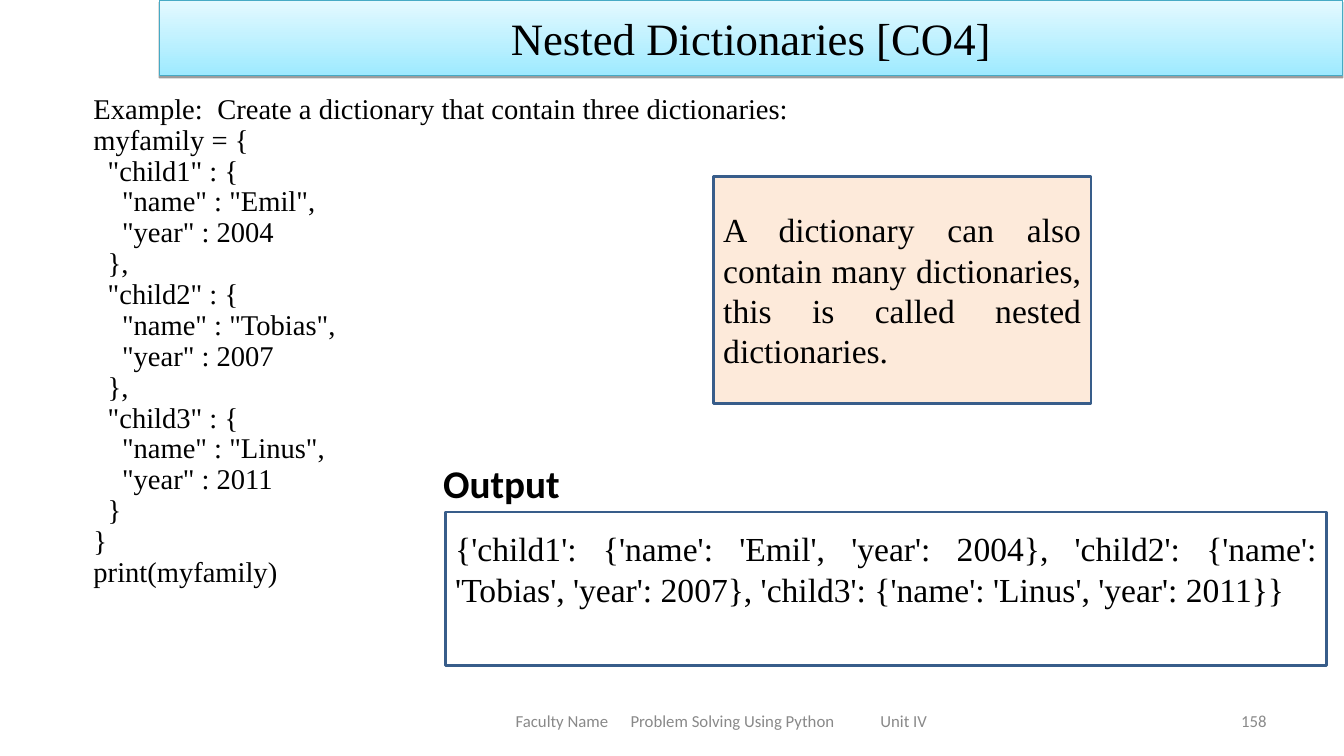
import dataclasses

import pptx
import pptx.dml.color
import pptx.enum.shapes
import pptx.enum.text
import pptx.oxml
import pptx.oxml.ns
import pptx.util

ALIGN = pptx.enum.text.PP_ALIGN
ANCHOR = pptx.enum.text.MSO_ANCHOR
PX = 9144  # 100 px to the inch


@dataclasses.dataclass(frozen=True)
class Theme:
    serif: str = "Times New Roman"
    sans: str = "Calibri"
    ink: str = "000000"
    muted: str = "898989"
    border: str = "385D8A"
    paper: str = "FFFFFF"
    note: str = "FDEADA"
    banner_low: str = "9EEAFF"
    banner_high: str = "E4F9FF"
    banner_border: str = "46AAC5"
    title: float = 32
    heading: float = 28
    body: float = 24
    code: float = 20.4
    footer: float = 12


def rgb(value):
    return pptx.dml.color.RGBColor.from_string(value)


class SlideBuilder:
    def __init__(self, deck, theme):
        self.theme = theme
        self.slide = deck.slides.add_slide(deck.slide_layouts[6])

    def set_text(self, shape, lines, size, font=None, color=None, bold=False,
                 align=ALIGN.LEFT, anchor=ANCHOR.MIDDLE, spacing=None, tabs=(), bottom=5):
        frame = shape.text_frame
        frame.word_wrap = True
        frame.vertical_anchor = anchor
        frame.margin_left = frame.margin_right = 10 * PX
        frame.margin_top, frame.margin_bottom = 5 * PX, bottom * PX
        for index, line in enumerate(lines):
            paragraph = frame.add_paragraph() if index else frame.paragraphs[0]
            paragraph.alignment = align
            if spacing:
                paragraph.line_spacing = spacing
            if tabs:
                stops = "".join(f'<a:tab pos="{tab * PX}" algn="l"/>' for tab in tabs)
                paragraph._p.get_or_add_pPr().append(pptx.oxml.parse_xml(
                    f'<a:tabLst {pptx.oxml.ns.nsdecls("a")}>{stops}</a:tabLst>'))
            run = paragraph.add_run()
            run.text = line
            run.font.size = pptx.util.Pt(size)
            run.font.name = font or self.theme.serif
            run.font.bold = bold
            run.font.color.rgb = rgb(color or self.theme.ink)

    def text(self, box, lines, size, **style):
        label = self.slide.shapes.add_textbox(*(n * PX for n in box))
        self.set_text(label, lines, size, **style)

    def panel(self, box, lines, size, fill, border, width=2, **style):
        panel = self.slide.shapes.add_shape(
            pptx.enum.shapes.MSO_SHAPE.RECTANGLE, *(n * PX for n in box))
        panel.shadow.inherit = False
        if isinstance(fill, tuple):
            panel.fill.gradient()
            panel.fill.gradient_angle = 90
            for stop, color in zip(panel.fill.gradient_stops, fill):
                stop.color.rgb = rgb(color)
        else:
            panel.fill.solid()
            panel.fill.fore_color.rgb = rgb(fill)
        panel.line.color.rgb = rgb(border)
        panel.line.width = pptx.util.Pt(width)
        self.set_text(panel, lines, size, **style)
        return panel

    def drop_shadow(self, panel):
        effects = panel._element.spPr.find(pptx.oxml.ns.qn("a:effectLst"))
        effects.append(pptx.oxml.parse_xml(
            f'<a:outerShdw {pptx.oxml.ns.nsdecls("a")} blurRad="0" dist="20000" '
            'dir="5400000" rotWithShape="0"><a:srgbClr val="000000">'
            '<a:alpha val="38000"/></a:srgbClr></a:outerShdw>'))


def code_lines(family):
    lines = ["Example:\tCreate a dictionary that contain three dictionaries:", "myfamily = {"]
    for number, (name, year) in enumerate(family, 1):
        close = "  }," if number < len(family) else "  }"
        lines += [f'  "child{number}" : {{', f'    "name" : "{name}",',
                  f'    "year" : {year}', close]
    return lines + ["}", "print(myfamily)"]


def main():
    deck = pptx.Presentation()
    deck.slide_width, deck.slide_height = 1334 * PX, 750 * PX
    theme = Theme()
    page = SlideBuilder(deck, theme)
    family = [("Emil", 2004), ("Tobias", 2007), ("Linus", 2011)]

    # Code example
    page.text((83, 89, 1183, 591), code_lines(family), theme.code,
              anchor=ANCHOR.TOP, spacing=0.9, tabs=[123])

    # Title banner
    banner = page.panel((158, 0, 1175, 75), ["Nested Dictionaries [CO4]"], theme.title,
                        (theme.banner_low, theme.banner_high), theme.banner_border,
                        width=0.75, align=ALIGN.CENTER)
    page.drop_shadow(banner)

    # Explanation
    page.panel((708, 175, 375, 225),
               ["A dictionary can also contain many dictionaries, "
                "this is called nested dictionaries."],
               theme.body, theme.note, theme.border, align=ALIGN.JUSTIFY)

    # Printed output
    printed = {f"child{number}": {"name": name, "year": year}
               for number, (name, year) in enumerate(family, 1)}
    page.panel((442, 508, 875, 152), [str(printed)], theme.body, theme.paper,
               theme.border, align=ALIGN.JUSTIFY, bottom=45)
    page.text((430, 451, 162, 57), ["Output"], theme.heading, font=theme.sans,
              bold=True, anchor=ANCHOR.TOP)

    # Footer
    footer = {"font": theme.sans, "color": theme.muted}
    page.text((502, 695, 490, 40), ["Faculty Name\tProblem Solving Using Python\tUnit IV"],
              theme.footer, tabs=[114, 362], **footer)
    page.text((956, 695, 311, 40), ["158"], theme.footer, align=ALIGN.RIGHT, **footer)

    deck.save("out.pptx")


if __name__ == "__main__":
    main()
